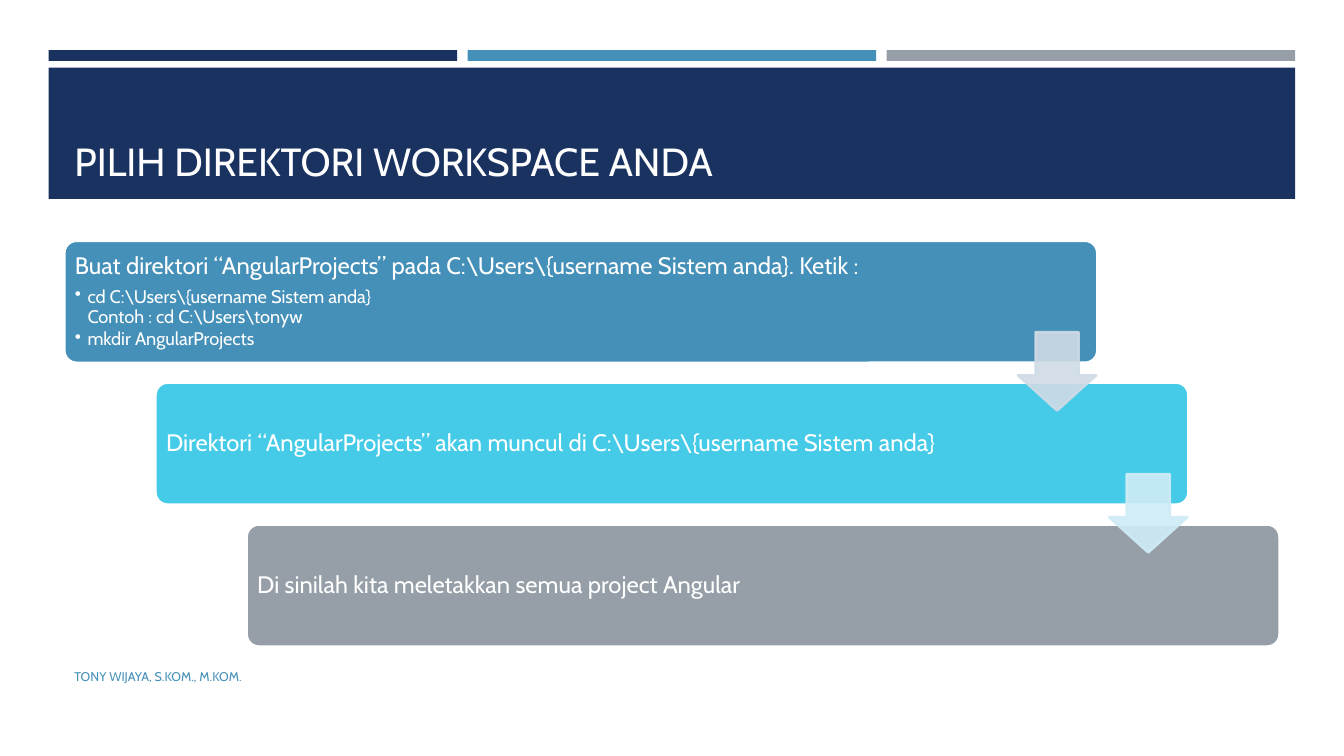
from copy import deepcopy

from lxml.etree import SubElement
from pptx import Presentation
from pptx.dml.color import RGBColor
from pptx.enum.shapes import MSO_SHAPE as Preset
from pptx.enum.text import MSO_ANCHOR as Anchor
from pptx.oxml.ns import qn
from pptx.util import Pt

FONT = "Cabin"
NAVY, BLUE, CYAN, GRAY, WHITE = "1A3260", "4590B8", "45CBE8", "969FA7", "FFFFFF"
STEPS = [
    (BLUE, "Buat direktori “AngularProjects” pada C:\\Users\\{username Sistem anda}. Ketik :",
     ["cd C:\\Users\\{username Sistem anda}\vContoh : cd C:\\Users\\tonyw",
      "mkdir AngularProjects"]),
    (CYAN, "Direktori “AngularProjects” akan muncul di C:\\Users\\{username Sistem anda}", []),
    (GRAY, "Di sinilah kita meletakkan semua project Angular", []),
]
ARROW_COLORS = ["CFDBE6", "CFECF6"]


def rgb(color):
    return RGBColor.from_string(color)


def add_block(slide, preset, box, color, line=None, opacity=100, adjustments=()):
    shape = slide.shapes.add_shape(preset, *map(Pt, box))
    shape.shadow.inherit = False
    for index, value in enumerate(adjustments):
        shape.adjustments[index] = value
    shape.fill.solid()
    shape.fill.fore_color.rgb = rgb(color)
    if line:
        shape.line.color.rgb = rgb(line)
        shape.line.width = Pt(1.75)
    else:
        shape.line.fill.background()
    if opacity < 100:
        for element in shape._element.spPr.iter(qn("a:srgbClr")):
            SubElement(element, qn("a:alpha")).set("val", str(opacity * 1000))
    return shape


def add_text_box(slide, box, anchor=Anchor.MIDDLE, insets=(7.2, 3.6)):
    frame = slide.shapes.add_textbox(*map(Pt, box)).text_frame
    frame.word_wrap = True
    frame.vertical_anchor = anchor
    frame.margin_left = frame.margin_right = Pt(insets[0])
    frame.margin_top = frame.margin_bottom = Pt(insets[1])
    return frame


def write(frame, text, size, color=WHITE, spacing=1.0, after=0, bullet=False):
    paragraph = frame.paragraphs[0]
    if paragraph.runs:
        paragraph = frame.add_paragraph()
    paragraph.text = text
    paragraph.line_spacing = spacing
    paragraph.space_after = Pt(after)
    for run in paragraph.runs:
        run.font.name = FONT
        run.font.size = Pt(size)
        run.font.color.rgb = rgb(color)
    # Line breaks take the format of the text around them
    for line_break in paragraph._p.findall(qn("a:br")):
        line_break.append(deepcopy(paragraph.runs[0]._r.rPr))
    if bullet:
        properties = paragraph._p.get_or_add_pPr()
        properties.set("lvl", "1")
        properties.set("marL", str(Pt(9)))
        properties.set("indent", str(-Pt(9)))
        SubElement(properties, qn("a:buChar")).set("char", "•")


def add_header(slide, left, top, width, height):
    # Three accent strips above the title band
    gap = 7.4
    strip_width = (width - 2 * gap) / 3
    for index, color in enumerate([NAVY, BLUE, GRAY]):
        strip_left = left + index * (strip_width + gap)
        add_block(slide, Preset.RECTANGLE, (strip_left, top, strip_width, 7.6), color)
    # Title band
    band_top = top + 12.5
    add_block(slide, Preset.RECTANGLE, (left, band_top, width, height - 12.5), NAVY)
    frame = add_text_box(slide, (left + 11.3, band_top + 7, width - 22.6, 80), Anchor.BOTTOM)
    write(frame, "PILIH DIREKTORI WORKSPACE ANDA", 28, color="FFFEFF")


def add_steps(slide, left, top, width, height):
    step_width, step_height, arrow_size = width * 0.85, 87.1, 56
    across = (width - step_width) / (len(STEPS) - 1)
    down = (height - step_height) / (len(STEPS) - 1)
    corners = [(left + i * across, top + i * down) for i in range(len(STEPS))]
    # Staggered step boxes
    for (x, y), (color, heading, commands) in zip(corners, STEPS):
        add_block(slide, Preset.ROUNDED_RECTANGLE, (x, y, step_width, step_height),
                  color, line=WHITE, adjustments=[0.1])
        frame = add_text_box(slide, (x + 2.5, y + 2.5, 644, step_height - 5), insets=(5, 5))
        write(frame, heading, 17, spacing=0.9, after=6)
        for command in commands:
            write(frame, command, 13, spacing=0.9, after=2, bullet=True)
    # Arrows from each step to the next
    for (x, y), color in zip(corners, ARROW_COLORS):
        box = (x + step_width - arrow_size - 0.7, y + 65.3, arrow_size, arrow_size)
        add_block(slide, Preset.DOWN_ARROW, box, color, line=color, opacity=90,
                  adjustments=[0.55, 0.45])


def add_footer(slide, left, top, width, height):
    frame = add_text_box(slide, (left, top, width, height))
    write(frame, "TONY WIJAYA, S.KOM., M.KOM.", 9, color=BLUE, after=6)


def main():
    presentation = Presentation()
    presentation.slide_width, presentation.slide_height = Pt(960), Pt(540)
    slide = presentation.slides.add_slide(presentation.slide_layouts[6])
    add_header(slide, 34.8, 35.9, 890.4, 106.2)
    add_footer(slide, 46, 468.7, 544, 28.8)
    add_steps(slide, 46, 172, 868, 289.8)
    presentation.save("out.pptx")


if __name__ == "__main__":
    main()
